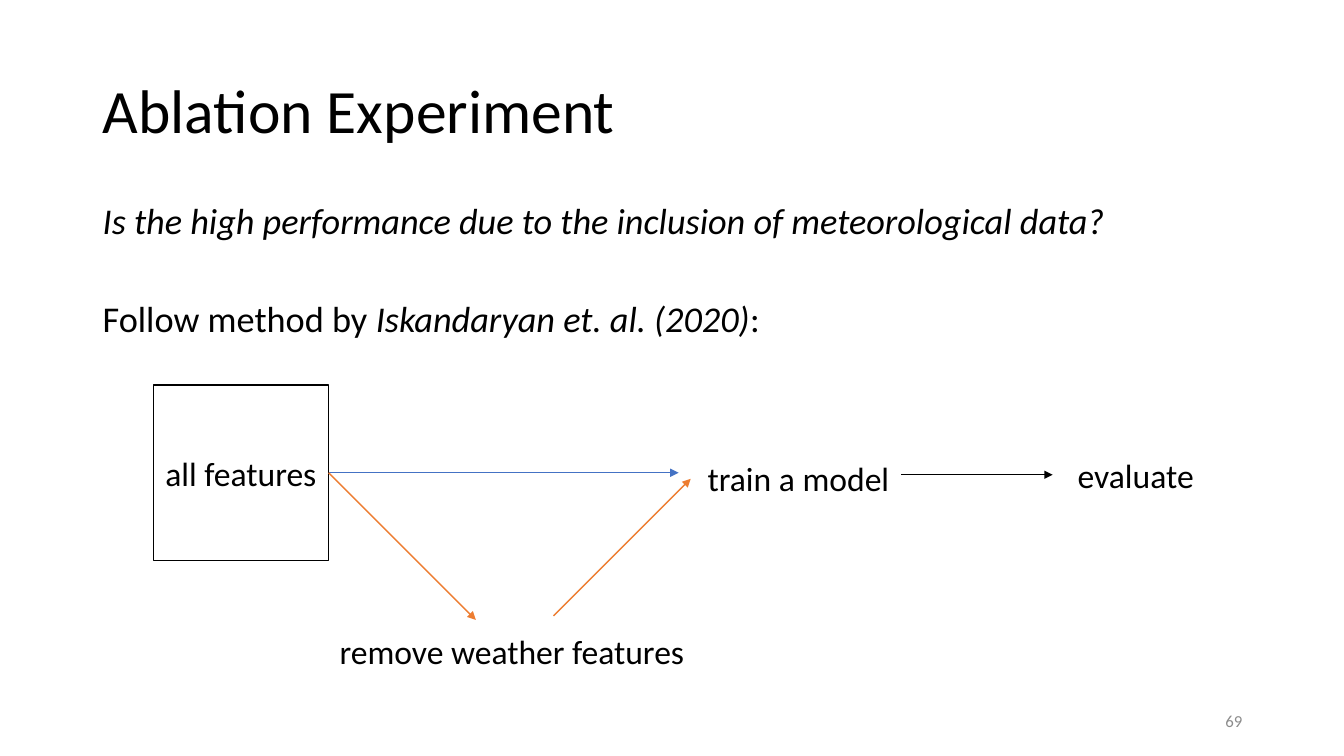
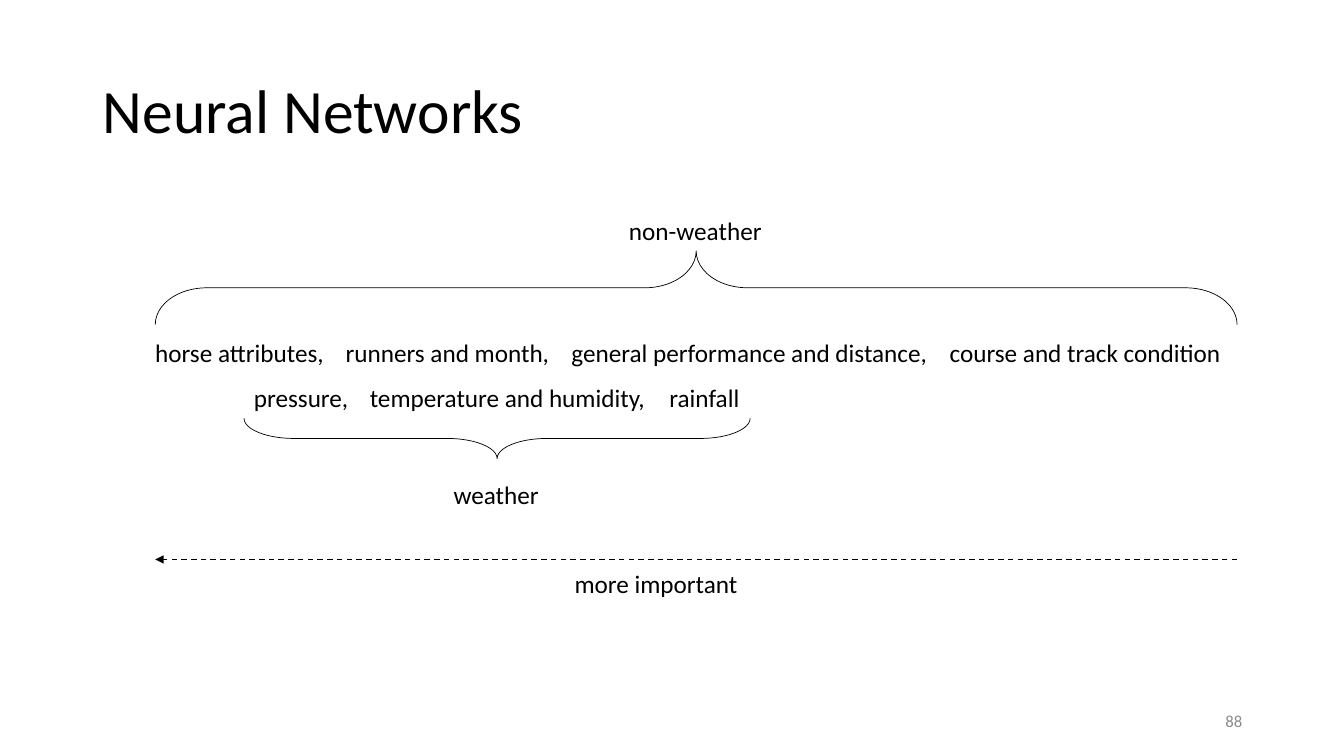
from lxml import etree
from pptx import Presentation
from pptx.dml.color import RGBColor
from pptx.enum.dml import MSO_LINE
from pptx.enum.shapes import MSO_CONNECTOR, MSO_SHAPE
from pptx.enum.text import MSO_ANCHOR, PP_ALIGN
from pptx.oxml.ns import qn
from pptx.util import Inches, Pt

STRAIGHT = MSO_CONNECTOR.STRAIGHT
RECT, BRACE = MSO_SHAPE.RECTANGLE, MSO_SHAPE.RIGHT_BRACE
MIDDLE, TOP = MSO_ANCHOR.MIDDLE, MSO_ANCHOR.TOP
LEFT, CENTER, RIGHT = PP_ALIGN.LEFT, PP_ALIGN.CENTER, PP_ALIGN.RIGHT
DASH = MSO_LINE.DASH

BLACK, GREY, BLUE, ORANGE = "000000", "8C8C8C", "4472C4", "ED7D31"
rgb = RGBColor.from_string


def write(sp, paragraphs, size, color=BLACK, align=LEFT, anchor=TOP, **spacing):
    """Fill a shape; each paragraph is a list of (text, italic) runs."""
    tf = sp.text_frame
    tf.word_wrap = True
    tf.vertical_anchor = anchor
    for i, runs in enumerate(paragraphs):
        p = tf.paragraphs[0] if i == 0 else tf.add_paragraph()
        p.alignment = align
        for name, value in spacing.items():
            if i > 0 or name != "space_before":
                setattr(p, name, value)
        for text, italic in runs:
            r = p.add_run()
            r.text = text
            font = {"name": "Calibri", "size": Pt(size), "italic": italic}
            for name, value in font.items():
                setattr(r.font, name, value)
            r.font.color.rgb = rgb(color)


def arrow(s, x1, y1, x2, y2, color, width):
    """Draw a line with a triangle at its end."""
    line = s.shapes.add_connector(
        STRAIGHT, Inches(x1), Inches(y1), Inches(x2), Inches(y2))
    line.line.color.rgb = rgb(color)
    line.line.width = Pt(width)
    head = etree.SubElement(line.line._get_or_add_ln(), qn("a:tailEnd"))
    head.set("type", "triangle")
    etree.SubElement(line._element.spPr, qn("a:effectLst"))
    return line


prs = Presentation()
prs.slide_width, prs.slide_height = Inches(13.33), Inches(7.5)

# Slides with title, page number and labels: (text, left, top, width)
pages = [
    ("Ablation Experiment", "69", 24, 0.5, [
        ("train a model", 6.92, 4.49, 2.1),
        ("evaluate", 10.59, 4.46, 1.5),
        ("remove weather features", 3.27, 6.21, 3.8),
    ]),
    ("Neural Networks", "88", 18, 0.4, [
        ("non-weather", 6.14, 2.09, 1.7),
        ("horse attributes,", 1.44, 3.3, 2),
        ("runners and month,", 3.33, 3.3, 2.4),
        ("general performance and distance,", 5.57, 3.3, 3.9),
        ("course and track condition", 9.32, 3.3, 3.1),
        ("pressure,", 2.42, 3.74, 1.3),
        ("temperature and humidity,", 3.57, 3.74, 3.1),
        ("rainfall", 6.54, 3.74, 1.1),
        ("weather", 4.4, 4.71, 1.2),
        ("more important", 5.6, 5.59, 2),
    ]),
]
slides = []
for title, number, size, height, labels in pages:
    s = prs.slides.add_slide(prs.slide_layouts[5])
    slides.append(s)
    sp = s.shapes.title
    sp.left, sp.top = Inches(0.92), Inches(0.4)
    sp.width, sp.height = Inches(11.5), Inches(1.45)
    write(sp, [[(title, False)]], 44, anchor=MIDDLE, line_spacing=0.9)
    sp = s.shapes.add_textbox(Inches(9.42), Inches(6.95), Inches(3), Inches(0.4))
    write(sp, [[(number, False)]], 12, GREY, RIGHT, MIDDLE)
    for text, x, y, w in labels:
        sp = s.shapes.add_textbox(Inches(x), Inches(y), Inches(w), Inches(height))
        write(sp, [[(text, False)]], size)
ablation, networks = slides

# Ablation: question and method
sp = ablation.shapes.add_textbox(
    Inches(0.92), Inches(2), Inches(10.7), Inches(1.45))
write(sp, [
    [("Is the high performance due to the inclusion of meteorological data?", True)],
    [("Follow method by ", False), ("Iskandaryan et. al. (2020)", True), (":", False)],
], 25.9, line_spacing=0.8, space_before=Pt(45))

# Ablation: feature box and arrows
box = ablation.shapes.add_shape(
    RECT, Inches(1.52), Inches(3.82), Inches(1.74), Inches(1.74))
box.shadow.inherit = False
box.fill.background()
box.line.color.rgb = rgb(BLACK)
box.line.width = Pt(1)
box.text_frame.margin_left = box.text_frame.margin_right = Inches(0.05)
write(box, [[("all features", False)]], 24, align=CENTER, anchor=MIDDLE)

for x, y, color in [(6.73, 4.69, BLUE), (4.72, 6.15, ORANGE)]:
    arrow(ablation, 3.26, 4.69, x, y, color, 1).begin_connect(box, 3)
arrow(ablation, 5.49, 6.11, 6.85, 4.75, ORANGE, 1)
arrow(ablation, 8.94, 4.71, 10.44, 4.71, BLACK, 0.5)

# Networks: braces, placed by the area they cover once rotated
for x, y, span, depth, rotation, curve in [
    (1.54, 2.49, 10.73, 0.73, 270, 0.7),
    (2.42, 4.15, 5.02, 0.4, 90, 1.24),
]:
    shift = (span - depth) / 2
    sp = networks.shapes.add_shape(
        BRACE, Inches(x + shift), Inches(y - shift), Inches(depth), Inches(span))
    sp.rotation = rotation
    sp.adjustments[0] = curve
    sp.shadow.inherit = False
    sp.fill.background()
    sp.line.color.rgb = rgb(BLACK)
    sp.line.width = Pt(0.5)

# Networks: importance axis
axis = arrow(networks, 12.27, 5.55, 1.54, 5.55, BLACK, 1)
axis.line.dash_style = DASH

prs.save("out.pptx")
